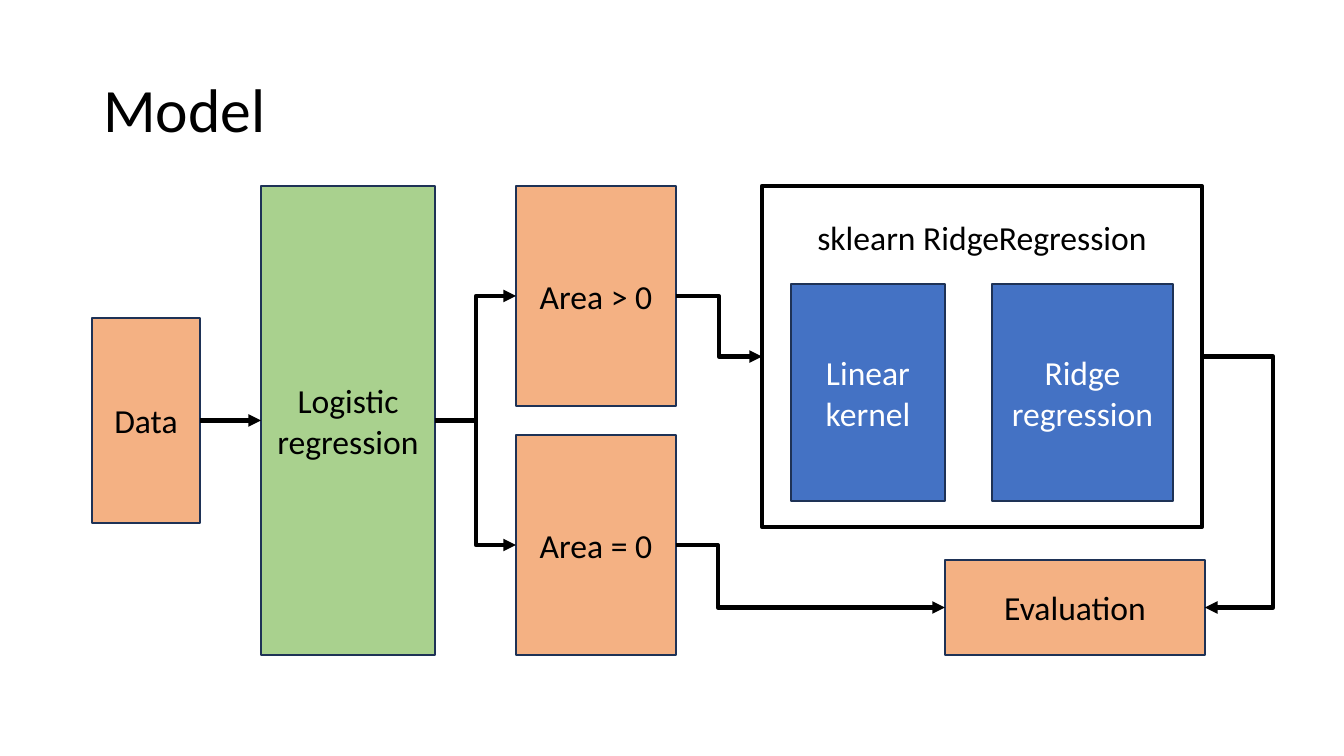
from dataclasses import dataclass
from typing import Optional

from lxml.etree import SubElement
from pptx import Presentation
from pptx.dml.color import RGBColor
from pptx.enum.shapes import MSO_CONNECTOR as Link, MSO_SHAPE as Preset
from pptx.enum.text import MSO_ANCHOR as Anchor, PP_ALIGN as Align
from pptx.oxml.ns import qn
from pptx.util import Pt

EMU_PER_PX = 914400 / 100.8
LEFT_SITE, RIGHT_SITE = 1, 3
FONT = "Calibri"
COLOURS = {
    "black": "000000",
    "white": "FFFFFF",
    "edge": "1E3256",
    "data": "F4B183",
    "classifier": "A9D18E",
    "regressor": "4472C4",
}


@dataclass(frozen=True)
class Block:
    name: str
    left: int
    top: int
    width: int
    height: int
    fill: Optional[str] = "data"
    ink: str = "black"
    edge: str = "edge"
    edge_pt: int = 1
    heading_inset: Optional[int] = None  # set when the text sits at the top


@dataclass(frozen=True)
class Arrow:
    start: str
    end: str
    bend_x: Optional[int] = None  # None draws a straight arrow


BLOCKS = [
    Block("sklearn RidgeRegression", 762, 186, 440, 341, fill=None,
          edge="black", edge_pt=3, heading_inset=31),
    Block("Ridge regression", 992, 284, 181, 217, "regressor", "white"),
    Block("Linear kernel", 791, 284, 154, 217, "regressor", "white"),
    Block("Logistic regression", 261, 186, 174, 469, "classifier"),
    Block("Area = 0", 516, 435, 160, 220),
    Block("Area > 0", 516, 186, 160, 220),
    Block("Evaluation", 945, 560, 260, 95),
    Block("Data", 92, 318, 108, 205),
]

ARROWS = [
    Arrow("Data", "Logistic regression"),
    Arrow("Logistic regression", "Area > 0", 476),
    Arrow("Logistic regression", "Area = 0", 476),
    Arrow("Area > 0", "sklearn RidgeRegression", 719),
    Arrow("Area = 0", "Evaluation", 718),
    Arrow("sklearn RidgeRegression", "Evaluation", 1273),
]


def px(length: int) -> int:
    return round(length * EMU_PER_PX)


def colour(name: str) -> RGBColor:
    return RGBColor.from_string(COLOURS[name])


def apply(target, values: dict) -> None:
    for name, value in values.items():
        setattr(target, name, value)


def write(shape, text: str, size: int, ink: str, frame_format: dict,
          para_format: dict) -> None:
    frame = shape.text_frame
    apply(frame, {"word_wrap": True, **frame_format})
    para = frame.paragraphs[0]
    apply(para, para_format)
    span = para.add_run()
    span.text = text
    apply(span.font, {"name": FONT, "size": Pt(size)})
    span.font.color.rgb = colour(ink)


def draw_block(page, block: Block):
    box = page.shapes.add_shape(
        Preset.RECTANGLE, px(block.left), px(block.top),
        px(block.width), px(block.height))
    box.shadow.inherit = False
    if block.fill:
        box.fill.solid()
        box.fill.fore_color.rgb = colour(block.fill)
    else:
        box.fill.background()
    box.line.color.rgb = colour(block.edge)
    box.line.width = Pt(block.edge_pt)
    frame_format = {"vertical_anchor": Anchor.MIDDLE}
    if block.heading_inset is not None:
        frame_format = {"vertical_anchor": Anchor.TOP,
                        "margin_top": px(block.heading_inset)}
    write(box, block.name, 24, block.ink, frame_format,
          {"alignment": Align.CENTER})
    return box


def draw_arrow(page, arrow: Arrow, boxes: dict) -> None:
    kind = Link.STRAIGHT if arrow.bend_x is None else Link.ELBOW
    line = page.shapes.add_connector(kind, 0, 0, 0, 0)
    line.begin_connect(boxes[arrow.start], RIGHT_SITE)
    line.end_connect(boxes[arrow.end], LEFT_SITE)
    if arrow.bend_x is not None and arrow.bend_x > px_right(boxes[arrow.end]):
        line.end_connect(boxes[arrow.end], RIGHT_SITE)
    line.line.color.rgb = colour("black")
    line.line.width = Pt(3)

    # Arrowhead, no shadow, and the place of the bend
    properties = line.element.spPr
    SubElement(properties.find(qn("a:ln")), qn("a:tailEnd"), type="triangle")
    SubElement(properties, qn("a:effectLst"))
    if arrow.bend_x is not None:
        share = (px(arrow.bend_x) - line.begin_x) / (line.end_x - line.begin_x)
        guides = properties.find(qn("a:prstGeom")).find(qn("a:avLst"))
        SubElement(guides, qn("a:gd"), name="adj1",
                   fmla=f"val {round(share * 100000)}")


def px_right(box) -> int:
    return round((box.left + box.width) / EMU_PER_PX)


def main() -> None:
    deck = Presentation()
    apply(deck, {"slide_width": px(1344), "slide_height": px(756)})
    page = deck.slides.add_slide(deck.slide_layouts.get_by_name("Title Only"))

    # Title
    title = page.shapes.title
    apply(title, {"left": px(93), "top": px(40),
                  "width": px(1159), "height": px(146)})
    write(title, "Model", 44, "black", {"vertical_anchor": Anchor.MIDDLE},
          {"alignment": Align.LEFT, "line_spacing": 0.9})

    # Model stages and the flow between them
    boxes = {block.name: draw_block(page, block) for block in BLOCKS}
    for arrow in ARROWS:
        draw_arrow(page, arrow, boxes)

    deck.save("out.pptx")


if __name__ == "__main__":
    main()
